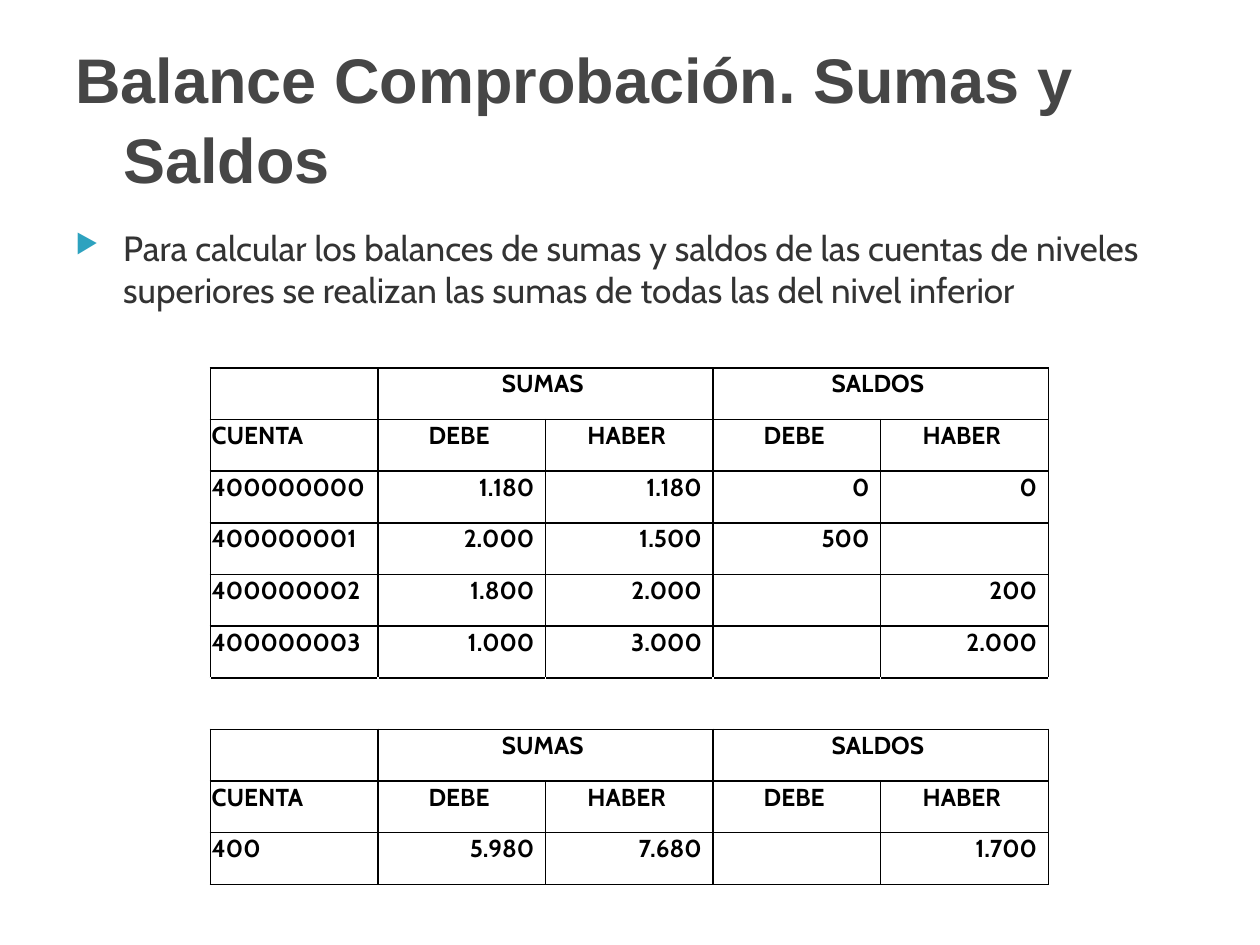
"""Builds the slide on trial balances of sums and balances."""
from lxml.etree import SubElement
from pptx import Presentation
from pptx.dml.color import RGBColor
from pptx.enum.text import MSO_ANCHOR as ANCHOR, PP_ALIGN as ALIGN
from pptx.oxml import parse_xml
from pptx.oxml.ns import nsdecls, qn
from pptx.util import Inches, Pt

BLACK, WHITE = "000000", "FFFFFF"
COL_W, ROW_H = 1.33, 0.41
GROUPS = ["", "SUMAS ", "", "SALDOS ", ""]
HEADS = ["CUENTA", "DEBE ", "HABER ", "DEBE ", "HABER "]
ROWS = [
    GROUPS,
    HEADS,
    ["400000000", "1.180", "1.180", "0", "0"],
    ["400000001", "2.000", "1.500", "500", ""],
    ["400000002", "1.800", "2.000", "", "200"],
    ["400000003", "1.000", "3.000", "", "2.000"],
    [""] * 5,
    GROUPS,
    HEADS,
    ["400", "5.980", "7.680", "", "1.700"],
]


def rgb(value):
    return RGBColor.from_string(value)


def add_run(p, text, font, size, color, bold=False):
    r = p.add_run()
    r.text = text
    r.font.name, r.font.size, r.font.bold = font, Pt(size), bold
    r.font.color.rgb = rgb(color)


def add_hanging_text(slide, box, anchor=ANCHOR.TOP):
    sp = slide.shapes.add_textbox(*map(Inches, box))
    tf = sp.text_frame
    tf.word_wrap = True
    tf.vertical_anchor = anchor
    p = tf.paragraphs[0]
    pPr = p._p.get_or_add_pPr()
    pPr.set("marL", str(Inches(0.38)))
    pPr.set("indent", str(-Inches(0.38)))
    return p


def add_bullet(p, char, color, percent):
    pPr = p._p.get_or_add_pPr()
    SubElement(SubElement(pPr, qn("a:buClr")), qn("a:srgbClr"), val=color)
    SubElement(pPr, qn("a:buSzPct"), val=str(percent * 1000))
    SubElement(pPr, qn("a:buChar"), char=char)


def set_borders(cell, side_color):
    tcPr = cell._tc.get_or_add_tcPr()
    colors = {"lnL": side_color, "lnR": side_color, "lnT": BLACK, "lnB": BLACK}
    for i, (tag, color) in enumerate(colors.items()):
        tcPr.insert(i, parse_xml(
            f'<a:{tag} {nsdecls("a")} w="{Pt(1)}"><a:solidFill>'
            f'<a:srgbClr val="{color}"/></a:solidFill></a:{tag}>'))


def set_fill(cell, banded):
    if not banded:
        cell.fill.background()
        return
    cell.fill.solid()
    cell.fill.fore_color.rgb = rgb(WHITE)
    color = cell._tc.tcPr.find(".//" + qn("a:srgbClr"))
    SubElement(color, qn("a:alpha"), val="20000")


def fill_cell(cell, text, align):
    cell.margin_left = cell.margin_top = Inches(0.01)
    cell.margin_right = Inches(0.09 if align == ALIGN.RIGHT else 0.01)
    cell.margin_bottom = 0
    p = cell.text_frame.paragraphs[0]
    p.alignment = align
    if text:
        add_run(p, text, "Cabin", 14, BLACK, True)


def add_balance_table(slide):
    n_cols = len(HEADS)
    size = (COL_W * n_cols, ROW_H * len(ROWS))
    table = slide.shapes.add_table(
        len(ROWS), n_cols, *map(Inches, (1.67, 2.92, *size))).table
    for col in table.columns:
        col.width = Inches(COL_W)
    for r, values in enumerate(ROWS):
        table.rows[r].height = Inches(ROW_H)
        heading = values in (GROUPS, HEADS)
        for c, text in enumerate(values):
            cell = table.cell(r, c)
            align = ALIGN.CENTER if heading else ALIGN.RIGHT
            fill_cell(cell, text, align if c else ALIGN.LEFT)
            set_fill(cell, r % 2 == 1)
            set_borders(cell, BLACK if any(values) else WHITE)
        if values is GROUPS:
            for c in (1, 3):
                table.cell(r, c).merge(table.cell(r, c + 1))


def main():
    prs = Presentation()
    prs.slide_width, prs.slide_height = Inches(10), Inches(7.5)
    slide = prs.slides.add_slide(prs.slide_layouts[6])

    body = add_hanging_text(slide, (0.5, 1.75, 9, 4.95))
    add_bullet(body, "▶", "2DA2BF", 75)
    add_run(body, "Para calcular los balances de sumas y saldos de las cuentas "
            "de niveles superiores se realizan las sumas de todas las del "
            "nivel inferior", "Cabin", 20, "333333")

    title = add_hanging_text(slide, (0.5, 0.3, 9, 1.25), ANCHOR.MIDDLE)
    title.line_spacing = 1.05
    add_run(title, "Balance Comprobación. Sumas y Saldos",
            "Arial", 36, "464646", True)

    add_balance_table(slide)
    prs.save("out.pptx")


if __name__ == "__main__":
    main()
